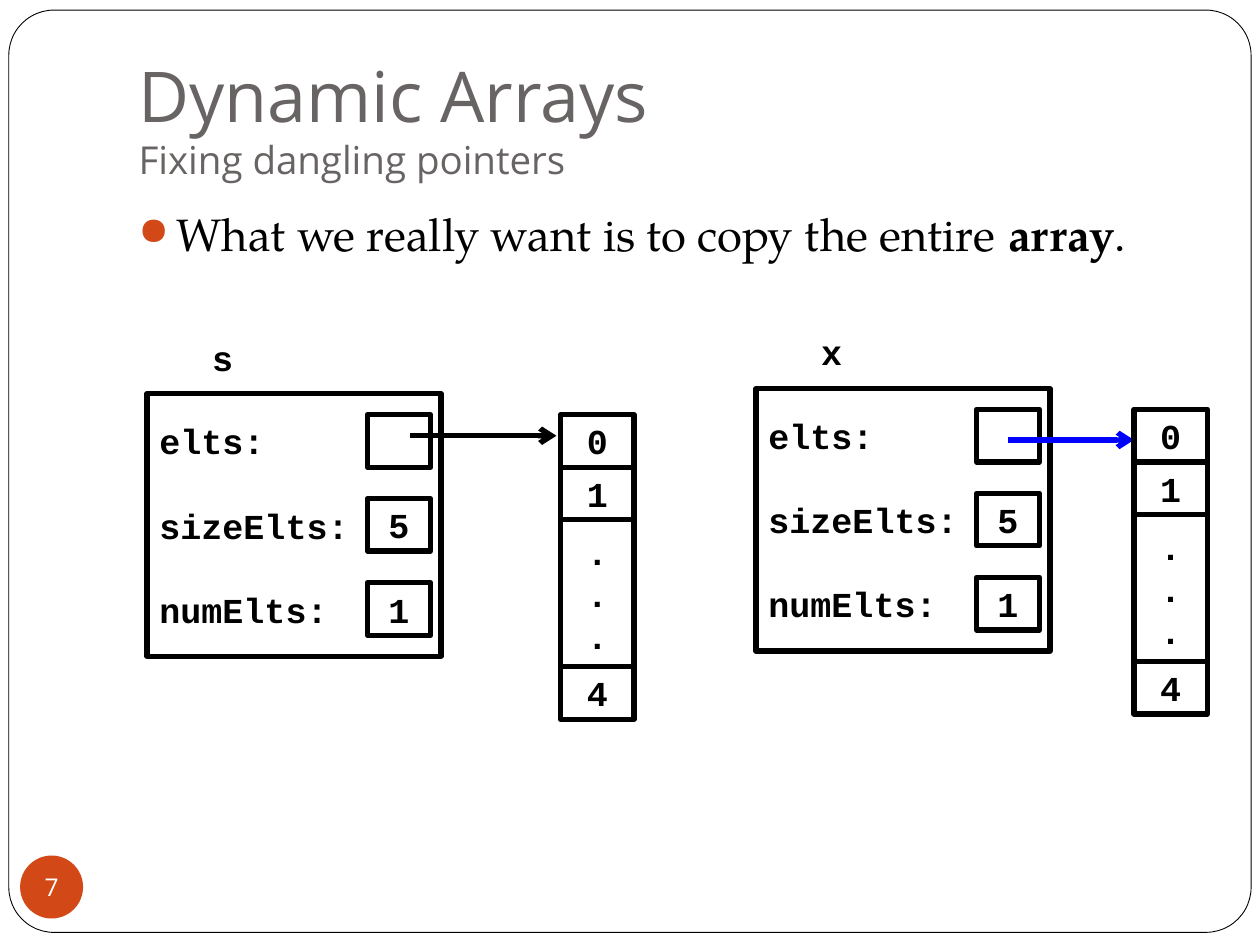
from itertools import accumulate
from lxml.etree import SubElement
from pptx import Presentation
from pptx.dml.color import RGBColor
from pptx.enum.shapes import MSO_CONNECTOR, MSO_SHAPE
from pptx.enum.text import MSO_ANCHOR, MSO_AUTO_SIZE, PP_ALIGN
from pptx.oxml.ns import qn
from pptx.util import Inches, Pt

UNIT = 1 / 12  # grid of 120 columns by 90 rows
INK, GREY, RUST, BLUE, WHITE = "000000", "696464", "D34817", "0000FF", "FFFFFF"
CODE = dict(name="Courier New", size=Pt(20), bold=True)
HEAD = dict(name="Open Sans", size=Pt(40))
SUB = dict(HEAD, size=Pt(22))
NOTE = dict(HEAD, size=Pt(14))
BODY = dict(name="TeX Gyre Pagella", size=Pt(26), bold=False)


def color(text):
    return RGBColor.from_string(text)


def grid(*vals):
    return [Inches(v * UNIT) for v in vals]


def assign(obj, vals):
    for key, val in vals.items():
        setattr(obj, key, val)


def add_run(para, text, look, ink=INK):
    run = para.add_run()
    run.text = text
    assign(run.font, look)
    run.font.color.rgb = color(ink)


def fill_text(frame, lines, look, ink=INK, align=PP_ALIGN.CENTER, gap=0):
    assign(frame, dict(word_wrap=True, vertical_anchor=MSO_ANCHOR.MIDDLE))
    for i, line in enumerate(lines):
        para = frame.add_paragraph() if i else frame.paragraphs[0]
        para.alignment = align
        if len(lines) > 1:
            para.line_spacing = Pt(24)
        if i:
            para.space_before = Pt(gap)
        add_run(para, line, look, ink)


def add_box(slide, kind, box, fill=None, line=INK, width=3):
    item = slide.shapes.add_shape(kind, *box)
    item.shadow.inherit = False
    if fill:
        item.fill.solid()
        item.fill.fore_color.rgb = color(fill)
    else:
        item.fill.background()
    if line:
        item.line.color.rgb = color(line)
        item.line.width = Pt(width)
    else:
        item.line.fill.background()
    return item


def add_cell(slide, box, lines=(), **form):
    item = add_box(slide, MSO_SHAPE.RECTANGLE, grid(*box))
    if lines:
        fill_text(item.text_frame, lines, CODE, **form)


def add_arrow(slide, start, end, row, ink):
    item = slide.shapes.add_connector(
        MSO_CONNECTOR.STRAIGHT, *grid(start, row, end, row))
    item.line.color.rgb = color(ink)
    item.line.width = Pt(3)
    SubElement(item.line._get_or_add_ln(), qn("a:tailEnd"), type="arrow")
    SubElement(item._element.spPr, qn("a:effectLst"))


# Object with its name and three fields
def add_object(slide, left, top, name):
    add_cell(slide, (left, top, 28, 25), ("elts:", "sizeElts:", "numElts:"),
             align=PP_ALIGN.LEFT, gap=24)
    for i, text in enumerate(("", "5", "1")):
        add_cell(slide, (left + 21, top + 2 + 8 * i, 6, 5), text)
    label = slide.shapes.add_textbox(*grid(left - 1, top - 7, 18.5, 7))
    label.text_frame.margin_left = Inches(0.6)
    fill_text(label.text_frame, [name], CODE, align=PP_ALIGN.LEFT)


# Array as a column of cells
def add_array(slide, left, top):
    highs = (5, 5, 14, 5)
    tops = accumulate(highs, initial=top)
    for row, high, text in zip(tops, highs, ("0", "1", "...", "4")):
        add_cell(slide, (left, row, 7, high), text)


# Rounded frame and page number
def add_frame(slide, page):
    frame = add_box(slide, MSO_SHAPE.ROUNDED_RECTANGLE,
                    [Inches(v) for v in (0.07, 0.08, 9.86, 7.32)],
                    WHITE, INK, 0.5)
    frame.adjustments[0] = 0.049
    badge = add_box(slide, MSO_SHAPE.OVAL,
                    [Inches(v) for v in (0.16, 6.79, 0.5, 0.5)], RUST, None)
    assign(badge.text_frame, dict(margin_left=0, margin_right=0,
                                  margin_top=0, margin_bottom=0))
    fill_text(badge.text_frame, [page], NOTE, WHITE)


# Title and subtitle in the placeholder
def add_title(slide, main, sub):
    title = slide.shapes.title
    assign(title, dict(zip(("left", "top", "width", "height"),
                           grid(12, 3.6, 102, 15))))
    frame = title.text_frame
    assign(frame, dict(auto_size=MSO_AUTO_SIZE.NONE, word_wrap=True,
                       vertical_anchor=MSO_ANCHOR.BOTTOM,
                       margin_bottom=Inches(0.1)))
    para = frame.paragraphs[0]
    para.alignment = PP_ALIGN.LEFT
    add_run(para, main, HEAD, GREY)
    para.add_line_break()
    add_run(para, sub, SUB, GREY)


# Bullet line
def add_point(slide, parts):
    frame = slide.shapes.add_textbox(*grid(12, 19, 102, 62)).text_frame
    frame.word_wrap = True
    para = frame.paragraphs[0]
    para.space_before = Pt(5.8)
    for text, bold in parts:
        add_run(para, text, dict(BODY, bold=bold))
    props = para._p.get_or_add_pPr()
    props.set("marL", str(Inches(0.3)))
    props.set("indent", str(Inches(-0.3)))
    SubElement(SubElement(props, qn("a:buClr")), qn("a:srgbClr"), val=RUST)
    SubElement(props, qn("a:buSzPct"), val="85000")
    SubElement(props, qn("a:buChar"), char="●")


deck = Presentation()
deck.slide_width, deck.slide_height = grid(120, 90)
slide = deck.slides.add_slide(deck.slide_layouts[5])
add_frame(slide, "7")
add_title(slide, "Dynamic Arrays", "Fixing dangling pointers")
add_point(slide, [("What we really want is to copy the entire ", False),
                  ("array", True), (".", False)])
for name, left, top, start, end, row, ink, col in (
        ("s", 14, 37.5, 39, 53, 41.5, INK, 53.4),
        ("x", 72, 37, 96, 108, 41.9, BLUE, 108)):
    add_object(slide, left, top, name)
    add_arrow(slide, start, end, row, ink)
    add_array(slide, col, top + 2)

# Keep the title above the frame
tree = slide.shapes._spTree
tree.remove(title := slide.shapes.title._element)
tree.insert(3, title)
deck.save("out.pptx")
